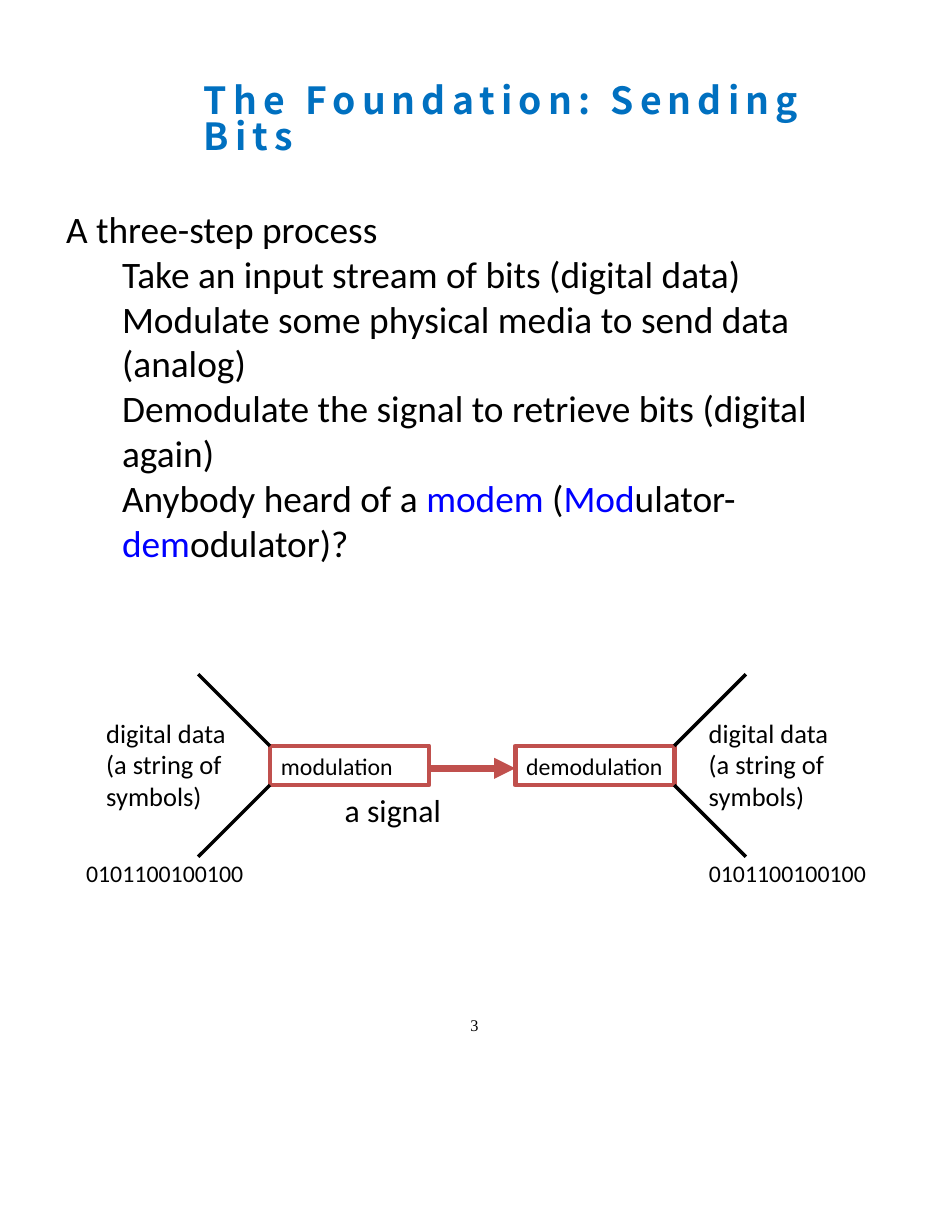
from dataclasses import dataclass

from lxml.etree import SubElement
from pptx import Presentation
from pptx.dml.color import RGBColor
from pptx.enum.shapes import MSO_CONNECTOR, MSO_SHAPE
from pptx.enum.text import MSO_ANCHOR, MSO_AUTO_SIZE, PP_ALIGN
from pptx.oxml.ns import qn
from pptx.util import Inches, Pt

BLACK, RED, BLUE, TITLE_BLUE = "000000", "C0504D", "0000FF", "0070C0"
BOX_TOP, BOX_WIDTH, BOX_HEIGHT = 6.66, 1.42, 0.35
FAN_REACH = 0.64  # horizontal and vertical run of each diagonal line


@dataclass
class Label:
    text: str
    left: float
    top: float
    width: float
    height: float
    size: float
    wrap: bool = False
    font: str = "Calibri"
    inset: bool = True


@dataclass
class Stage:
    text: str
    left: float
    outer_edge: float
    direction: int  # -1 fans out to the left, 1 to the right


LABELS = [
    Label("3", 4.2, 9.06, 0.21, 0.18, 10.5, True, "Times New Roman", False),
    *[Label("digital data\v(a string of\vsymbols)", left, 6.35, 1.3, 0.96, 17)
      for left in (0.85, 6.23)],
    *[Label("0101100100100", left, 7.62, 1.61, 0.36, 15.3) for left in (0.67, 6.23)],
    Label("a signal", 2.98, 7.01, 2.27, 0.44, 20.4, True),
]
STAGES = [Stage("modulation", 2.41, 2.41, -1), Stage("demodulation", 4.6, 6.02, 1)]

# Each paragraph is a list of (text, colour) runs; the first one is the heading
BODY = [
    [("A three-step process", BLACK)],
    [("Take an input stream of bits (digital data)", BLACK)],
    [("Modulate some physical media to send data (analog)", BLACK)],
    [("Demodulate the signal to retrieve bits (digital again)", BLACK)],
    [("Anybody heard of a ", BLACK), ("modem", BLUE), (" (", BLACK), ("Mod", BLUE),
     ("ulator-", BLACK), ("dem", BLUE), ("odulator)?", BLACK)],
]


def color(value: str) -> RGBColor:
    return RGBColor.from_string(value)


def format_font(font, size: float, value: str = BLACK, name: str = "Calibri") -> None:
    font.size = Pt(size)
    font.name = name
    font.color.rgb = color(value)


def place(shape, left: float, top: float, width: float, height: float) -> None:
    shape.left, shape.top = Inches(left), Inches(top)
    shape.width, shape.height = Inches(width), Inches(height)


def clear_insets(text_frame) -> None:
    text_frame.margin_left = text_frame.margin_right = 0
    text_frame.margin_top = text_frame.margin_bottom = 0


def add_label(slide, label: Label) -> None:
    shape = slide.shapes.add_textbox(Inches(label.left), Inches(label.top),
                                     Inches(label.width), Inches(label.height))
    text_frame = shape.text_frame
    text_frame.word_wrap = label.wrap
    text_frame.auto_size = MSO_AUTO_SIZE.SHAPE_TO_FIT_TEXT
    if not label.inset:
        clear_insets(text_frame)
    paragraph = text_frame.paragraphs[0]
    paragraph.text = label.text
    for run in paragraph.runs:
        format_font(run.font, label.size, name=label.font)


def add_line(slide, start: tuple[float, float], end: tuple[float, float],
             value: str, width: float, arrow: bool = False) -> None:
    connector = slide.shapes.add_connector(
        MSO_CONNECTOR.STRAIGHT, *map(Inches, start), *map(Inches, end))
    connector.line.color.rgb = color(value)
    connector.line.width = Pt(width)
    properties = connector.element.spPr
    if arrow:
        SubElement(properties.find(qn("a:ln")), qn("a:tailEnd"), type="triangle")
    SubElement(properties, qn("a:effectLst"))


def add_stage(slide, stage: Stage) -> None:
    shape = slide.shapes.add_shape(MSO_SHAPE.RECTANGLE, Inches(stage.left), Inches(BOX_TOP),
                                   Inches(BOX_WIDTH), Inches(BOX_HEIGHT))
    shape.shadow.inherit = False
    shape.fill.background()
    shape.line.color.rgb = color(RED)
    shape.line.width = Pt(3)
    text_frame = shape.text_frame
    text_frame.word_wrap = True
    text_frame.margin_right = 0
    text_frame.vertical_anchor = MSO_ANCHOR.MIDDLE
    paragraph = text_frame.paragraphs[0]
    paragraph.text = stage.text
    paragraph.alignment = PP_ALIGN.LEFT
    format_font(paragraph.runs[0].font, 15.3)

    # Diagonal lines opening away from the box corners
    far = stage.outer_edge + stage.direction * FAN_REACH
    bottom = BOX_TOP + BOX_HEIGHT
    add_line(slide, (far, BOX_TOP - FAN_REACH), (stage.outer_edge, BOX_TOP), BLACK, 2.25)
    add_line(slide, (far, bottom + FAN_REACH), (stage.outer_edge, bottom), BLACK, 2.25)


def fill_title(shape) -> None:
    place(shape, 1.82, 0.72, 5.59, 1.06)
    text_frame = shape.text_frame
    text_frame.text = "The Foundation: Sending Bits"
    clear_insets(text_frame)
    text_frame.margin_top = Inches(0.04)
    text_frame.word_wrap = True
    text_frame.auto_size = MSO_AUTO_SIZE.NONE
    text_frame.vertical_anchor = MSO_ANCHOR.TOP
    paragraph = text_frame.paragraphs[0]
    paragraph.alignment = PP_ALIGN.LEFT
    paragraph.line_spacing = 0.81
    run = paragraph.runs[0]
    format_font(run.font, 24, TITLE_BLUE, "Noto Sans CJK TC")
    run.font.bold = True
    run_properties = run.font._element
    run_properties.set("spc", "390")
    SubElement(run_properties, qn("a:ea"), typeface="Noto Sans CJK TC")


def fill_body(shape) -> None:
    place(shape, 0.59, 1.84, 7.42, 3.23)
    text_frame = shape.text_frame
    clear_insets(text_frame)
    text_frame.word_wrap = True
    text_frame.auto_size = MSO_AUTO_SIZE.SHAPE_TO_FIT_TEXT
    for index, runs in enumerate(BODY):
        paragraph = text_frame.add_paragraph() if index else text_frame.paragraphs[0]
        paragraph.level = min(index, 1)
        paragraph.space_before = Pt(0)
        properties = paragraph._p.get_or_add_pPr()
        properties.set("marL", str(Inches(0.5 * paragraph.level)))
        properties.set("indent", "0")
        SubElement(properties, qn("a:buNone"))
        for text, value in runs:
            run = paragraph.add_run()
            run.text = text
            format_font(run.font, 24, value)


def main() -> None:
    presentation = Presentation()
    presentation.slide_width, presentation.slide_height = Inches(8.5), Inches(11)
    slide = presentation.slides.add_slide(presentation.slide_layouts[1])
    fill_title(slide.shapes.title)
    fill_body(slide.placeholders[1])

    # Signal path diagram
    for stage in STAGES:
        add_stage(slide, stage)
    sender, receiver = STAGES
    add_line(slide, (sender.left + BOX_WIDTH, 6.86), (receiver.left, 6.86), RED, 4.5, True)

    # Captions and page number
    for label in LABELS:
        add_label(slide, label)
    presentation.save("out.pptx")


if __name__ == "__main__":
    main()
